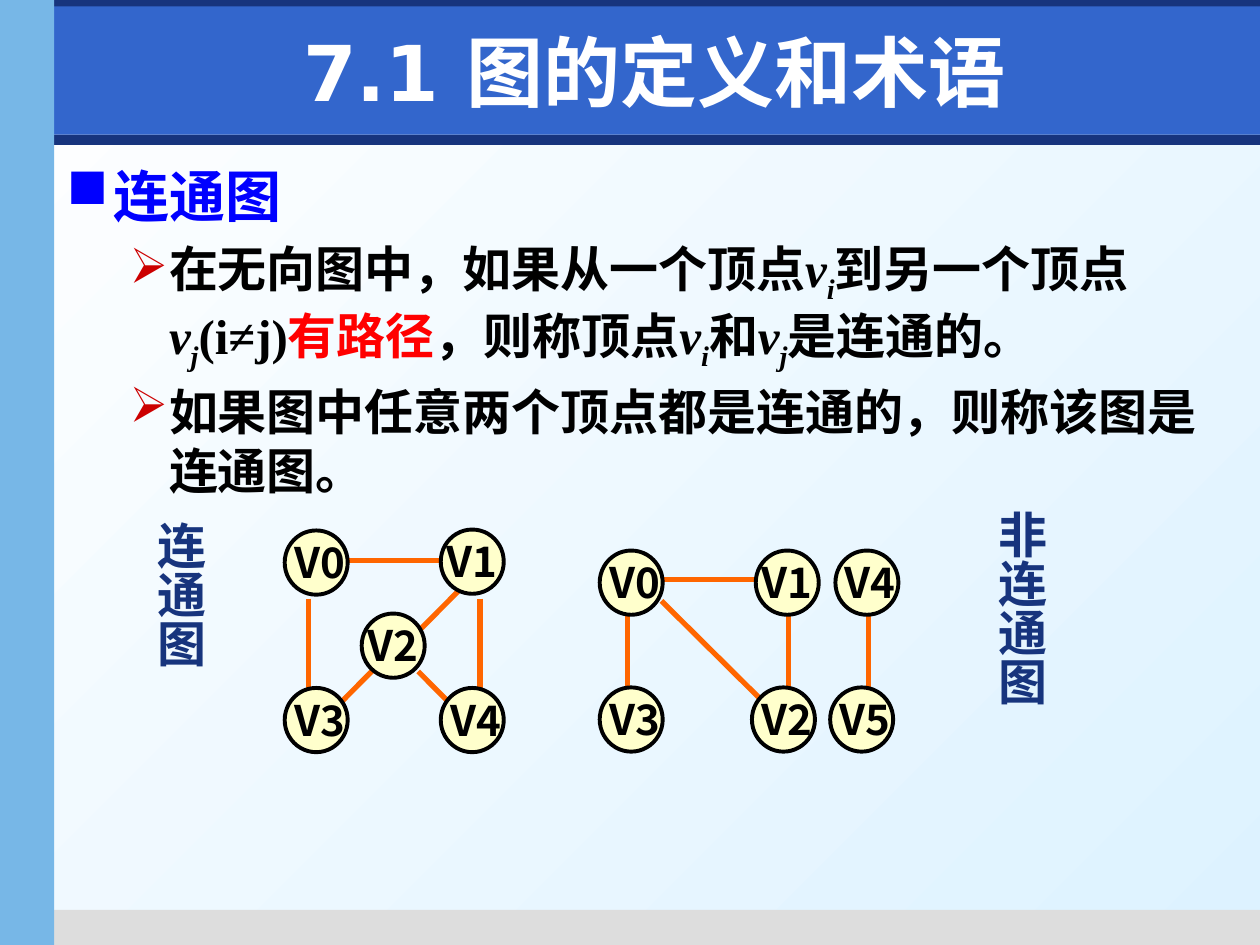
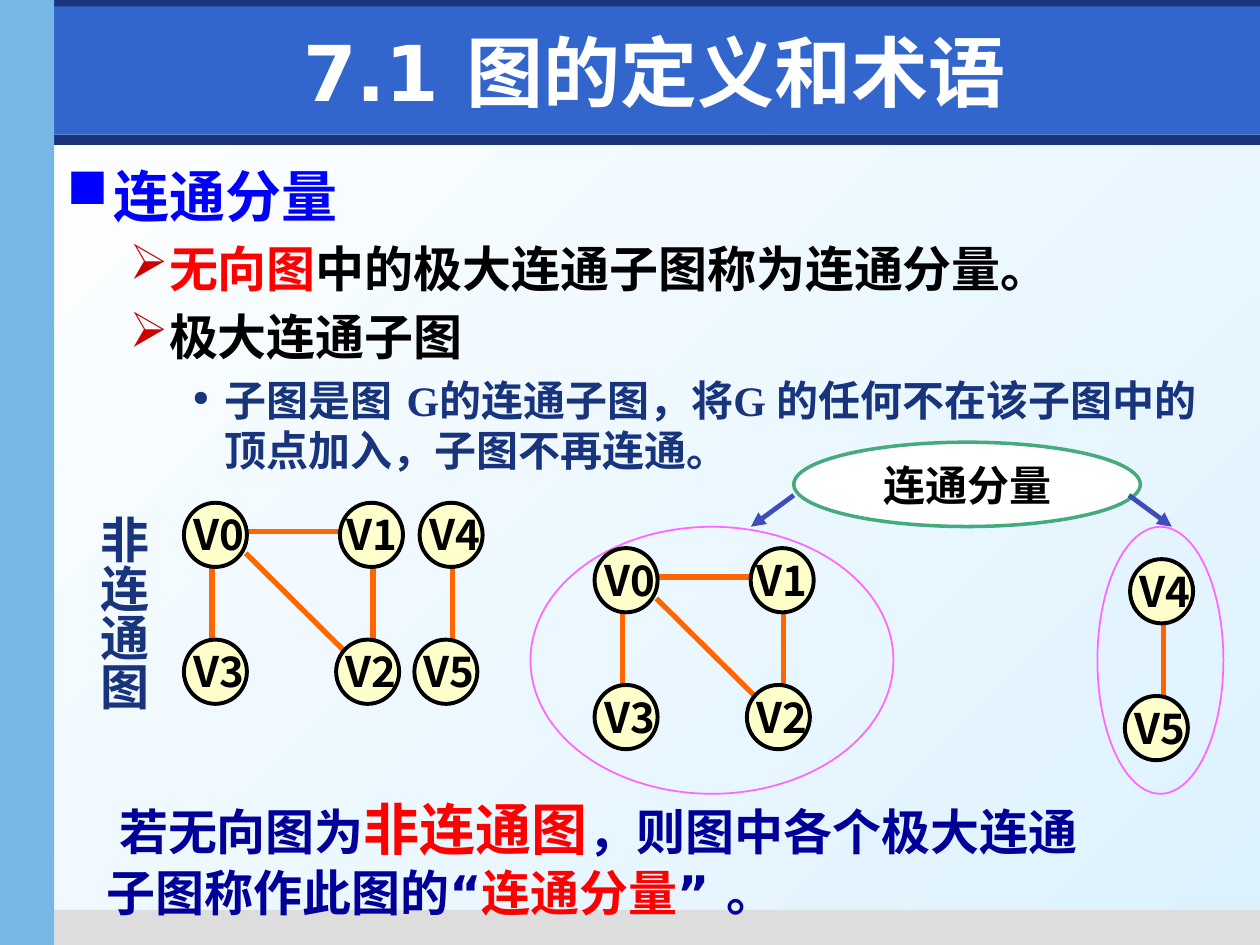
from dataclasses import dataclass

from lxml import etree
from pptx import Presentation
from pptx.dml.color import RGBColor
from pptx.enum.shapes import MSO_CONNECTOR, MSO_SHAPE
from pptx.enum.text import MSO_ANCHOR, PP_ALIGN
from pptx.oxml.ns import qn
from pptx.util import Pt

RECTANGLE = MSO_SHAPE.RECTANGLE
OVAL = MSO_SHAPE.OVAL
STRAIGHT = MSO_CONNECTOR.STRAIGHT
MIDDLE = MSO_ANCHOR.MIDDLE
CENTER = PP_ALIGN.CENTER

# Colours
WHITE = RGBColor(0xFF, 0xFF, 0xFF)
BLACK = RGBColor(0x00, 0x00, 0x00)
PALE_BLUE = RGBColor(0xDD, 0xF2, 0xFF)
SKY = RGBColor(0x77, 0xB7, 0xE7)
TITLE_BLUE = RGBColor(0x33, 0x66, 0xCC)
NAVY = RGBColor(0x17, 0x34, 0x7D)
GREY = RGBColor(0xDD, 0xDD, 0xDD)
BLUE = RGBColor(0x00, 0x00, 0xFF)
DARK_BLUE = RGBColor(0x00, 0x00, 0x99)
ARROW_BLUE = RGBColor(0x3E, 0x4D, 0xBA)
RED = RGBColor(0xFF, 0x00, 0x00)
BULLET_RED = RGBColor(0xCC, 0x00, 0x00)
CREAM = RGBColor(0xFF, 0xFF, 0xCC)
ORANGE = RGBColor(0xFF, 0x66, 0x00)
PINK = RGBColor(0xFF, 0x66, 0xFF)
GREEN = RGBColor(0x45, 0xAB, 0x7D)

# Fonts
TITLE_FONT = "DejaVu Sans"
SERIF = "Times New Roman"
SANS = "Arial"
CJK = "Noto Sans CJK SC"

# Run styles
ITALIC = {"italic": True}
SUBSCRIPT = {"italic": True, "baseline": -25000}
HIGHLIGHT = {"color": RED}
VERTEX_I = [("v", ITALIC), ("i", SUBSCRIPT)]
VERTEX_J = [("v", ITALIC), ("j", SUBSCRIPT)]

TITLE = "7.1 图的定义和术语"

# Bands on every slide: left, top, width, height, colour
BANDS = [
    (3, 77, 717, 5.8, NAVY),
    (25, 520, 695, 20, GREY),
    (0, -2, 720, 17, NAVY),
    (31, 3.6, 689, 73.4, TITLE_BLUE),
    (0, 0, 31, 540, SKY),
]


@dataclass
class Level:
    bullet: str
    bullet_color: RGBColor
    bullet_percent: int
    left: float
    hanging: float
    size: int
    color: RGBColor


LEVELS = [
    Level("■", BLUE, 100, 27, 27, 32, BLUE),
    Level("➢", BULLET_RED, 100, 58.5, 22.5, 28, BLACK),
    Level("●", NAVY, 50, 90, 18, 24, NAVY),
]


@dataclass
class Graph:
    nodes: dict  # label: (left, top, label offset), from the first node
    edges: list  # (x1, y1, x2, y2), from the first node


CONNECTED = Graph(
    {"V0": (0, 0, -4), "V4": (89.2, 90, -4), "V3": (0, 90, -4),
     "V1": (89.2, -0.5, -6), "V2": (44, 47.5, -6)},
    [(13.7, 39, 13.7, 90.7), (35.3, 17.3, 95, 17.3),
     (111.6, 39, 111.6, 90.7), (52.5, 77.8, 31, 99.4),
     (99.4, 34.5, 77.8, 56.2), (76.3, 80.6, 95, 99.4)])
TRIANGLE = Graph(
    {"V0": (0, 0, -4), "V2": (87, 78.2, -4), "V3": (0, 78.2, -4),
     "V1": (89.2, 0, -6)},
    [(35.3, 28.8, 94.5, 87.5), (16, 36, 16, 82),
     (36, 16.6, 92, 16.6), (108, 36, 108, 82)])
PAIR = Graph(
    {"V5": (-3, 78.2, -4), "V4": (0, 0, -4)},
    [(19, 32.5, 19, 78.5)])


def write(para, spans, size, color, font):
    """Fill a bold paragraph; spans override only what differs."""
    para.font.name = font
    para.font.size = Pt(size)
    para.font.bold = True
    para.font.color.rgb = color
    defaults = para._p.pPr.find(qn("a:defRPr"))
    east_asian = CJK if font == CJK else TITLE_FONT
    etree.SubElement(defaults, qn("a:ea"), typeface=east_asian)
    for text, style in spans:
        span = para.add_run()
        span.text = text
        if "color" in style:
            span.font.color.rgb = style["color"]
        if "size" in style:
            span.font.size = Pt(style["size"])
        if "italic" in style:
            span.font.italic = style["italic"]
        if "baseline" in style:
            span._r.get_or_add_rPr().set("baseline", str(style["baseline"]))


def indent(para, left, first):
    properties = para._p.get_or_add_pPr()
    properties.set("marL", str(Pt(left)))
    properties.set("indent", str(Pt(first)))
    return properties


def add_bullet(para, level):
    properties = indent(para, level.left, -level.hanging)
    color = etree.SubElement(properties, qn("a:buClr"))
    etree.SubElement(color, qn("a:srgbClr"), val=str(level.bullet_color))
    etree.SubElement(properties, qn("a:buSzPct"),
                     val=str(level.bullet_percent * 1000))
    etree.SubElement(properties, qn("a:buChar"), char=level.bullet)


def add_box(page, left, top, width, height):
    box = page.shapes.add_textbox(Pt(left), Pt(top), Pt(width), Pt(height))
    box.text_frame.word_wrap = True
    return box


def add_shape(page, kind, left, top, width, height,
              fill=None, line=None, weight=1):
    shape = page.shapes.add_shape(kind, Pt(left), Pt(top),
                                  Pt(width), Pt(height))
    shape.shadow.inherit = False
    if fill is None:
        shape.fill.background()
    else:
        shape.fill.solid()
        shape.fill.fore_color.rgb = fill
    if line is None:
        shape.line.fill.background()
    else:
        shape.line.color.rgb = line
        shape.line.width = Pt(weight)
    return shape


def add_line(page, x1, y1, x2, y2, color, weight, arrow=False):
    line = page.shapes.add_connector(STRAIGHT, Pt(x1), Pt(y1), Pt(x2), Pt(y2))
    line.line.color.rgb = color
    line.line.width = Pt(weight)
    if arrow:
        etree.SubElement(line.line._get_or_add_ln(), qn("a:tailEnd"),
                         type="triangle")
    etree.SubElement(line._element.spPr, qn("a:effectLst"))


def add_node(page, label, left, top, label_offset):
    add_shape(page, OVAL, left, top, 36, 36.7, CREAM, BLACK, 2.25)
    box = add_box(page, left + label_offset, top, 51, 36)
    box.text_frame.margin_left = Pt(9.4)
    write(box.text_frame.paragraphs[0], [(label, {})], 24, BLACK, CJK)


def add_graph(page, graph, left, top):
    for x1, y1, x2, y2 in graph.edges:
        add_line(page, left + x1, top + y1, left + x2, top + y2, ORANGE, 3)
    for label, (x, y, label_offset) in graph.nodes.items():
        add_node(page, label, left + x, top + y, label_offset)


def add_vertical_label(page, text, left, top):
    box = add_box(page, left, top, 48, 150)
    box._element.txBody.find(qn("a:bodyPr")).set("vert", "eaVert")
    write(box.text_frame.paragraphs[0], [(text, {})], 28, NAVY, CJK)


def add_body(page, items, heading_font):
    """Bulleted text; items are (level number, spans)."""
    frame = add_box(page, 31, 88.6, 674.6, 424.8).text_frame
    for index, (number, spans) in enumerate(items):
        para = frame.add_paragraph() if index else frame.paragraphs[0]
        level = LEVELS[number]
        para.space_before = Pt(level.size * 0.2)
        add_bullet(para, level)
        font = SERIF if number else heading_font
        write(para, spans, level.size, level.color, font)


def add_page(deck):
    """A blank slide with the shared background, bands and title."""
    page = deck.slides.add_slide(deck.slide_layouts[6])
    fill = page.background.fill
    fill.gradient()
    fill.gradient_angle = 315
    for stop, color, position in zip(fill.gradient_stops,
                                     (WHITE, PALE_BLUE), (0, 1)):
        stop.color.rgb = color
        stop.position = position
    for left, top, width, height, color in BANDS:
        add_shape(page, RECTANGLE, left, top, width, height, color)
    frame = add_box(page, 42.5, 9.4, 663, 62.6).text_frame
    frame.vertical_anchor = MIDDLE
    para = frame.paragraphs[0]
    para.alignment = CENTER
    write(para, [(TITLE, {})], 44, WHITE, TITLE_FONT)
    return page


def build_connected_graph(deck):
    page = add_page(deck)
    add_body(page, [
        (0, [("连通图", {})]),
        (1, [("在无向图中，如果从一个顶点", {}), *VERTEX_I,
             ("到另一个顶点", {}), *VERTEX_J, ("(i≠j)", {}),
             ("有路径", HIGHLIGHT), ("，则称顶点", {}), *VERTEX_I,
             ("和", {}), *VERTEX_J, ("是连通的。", {})]),
        (1, [("如果图中任意两个顶点都是连通的，则称该图是连通图。", {})]),
    ], SANS)
    add_vertical_label(page, "非连通图", 555.8, 284.5)
    add_vertical_label(page, "连通图", 75.6, 291)
    add_graph(page, CONNECTED, 162.7, 303.1)
    add_graph(page, TRIANGLE, 342.7, 314.6)
    add_graph(page, PAIR, 477.4, 314.6)


def build_components(deck):
    page = add_page(deck)
    add_body(page, [
        (0, [("连通分量", {})]),
        (1, [("无向图", HIGHLIGHT), ("中的极大连通子图称为连通分量。", {})]),
        (1, [("极大连通子图", {})]),
        (2, [("子图是图 G的连通子图，将G 的任何不在该子图中的顶点加入，"
              "子图不再连通。", {})]),
    ], SERIF)

    # Unconnected graph, then its two components in rings
    add_vertical_label(page, "非连通图", 42.5, 287.3)
    add_graph(page, TRIANGLE, 105.1, 287.3)
    add_graph(page, PAIR, 239.8, 287.3)
    add_shape(page, OVAL, 303.1, 301, 207.4, 152.6, line=PINK)
    add_graph(page, TRIANGLE, 339.8, 313.2)
    add_shape(page, OVAL, 627.1, 301, 72, 152.6, line=PINK)
    add_graph(page, PAIR, 645.8, 319.5)

    # Callout pointing at both rings
    callout = add_shape(page, OVAL, 453.6, 252.7, 198, 48.2, WHITE, GREEN, 2)
    frame = callout.text_frame
    frame.word_wrap = False
    frame.vertical_anchor = MIDDLE
    para = frame.paragraphs[0]
    para.alignment = CENTER
    write(para, [("连通分量", {})], 24, BLACK, SANS)
    for start, end in ((453.6, 429.1), (645.1, 669.6)):
        add_line(page, start, 283, end, 301, ARROW_BLUE, 2.75, arrow=True)

    # Conclusion
    para = add_box(page, 54, 450.7, 573, 80).text_frame.paragraphs[0]
    indent(para, 0, 7)
    write(para, [
        ("若无向图为", {}), ("非连通图", {"color": RED, "size": 32}),
        ("，则图中各个极大连通子图称作此图的“", {}),
        ("连通分量", HIGHLIGHT), ("” 。", {}),
    ], 28, DARK_BLUE, SERIF)


def main():
    deck = Presentation()
    deck.slide_width = Pt(720)
    deck.slide_height = Pt(540)
    build_connected_graph(deck)
    build_components(deck)
    deck.save("out.pptx")


if __name__ == "__main__":
    main()
